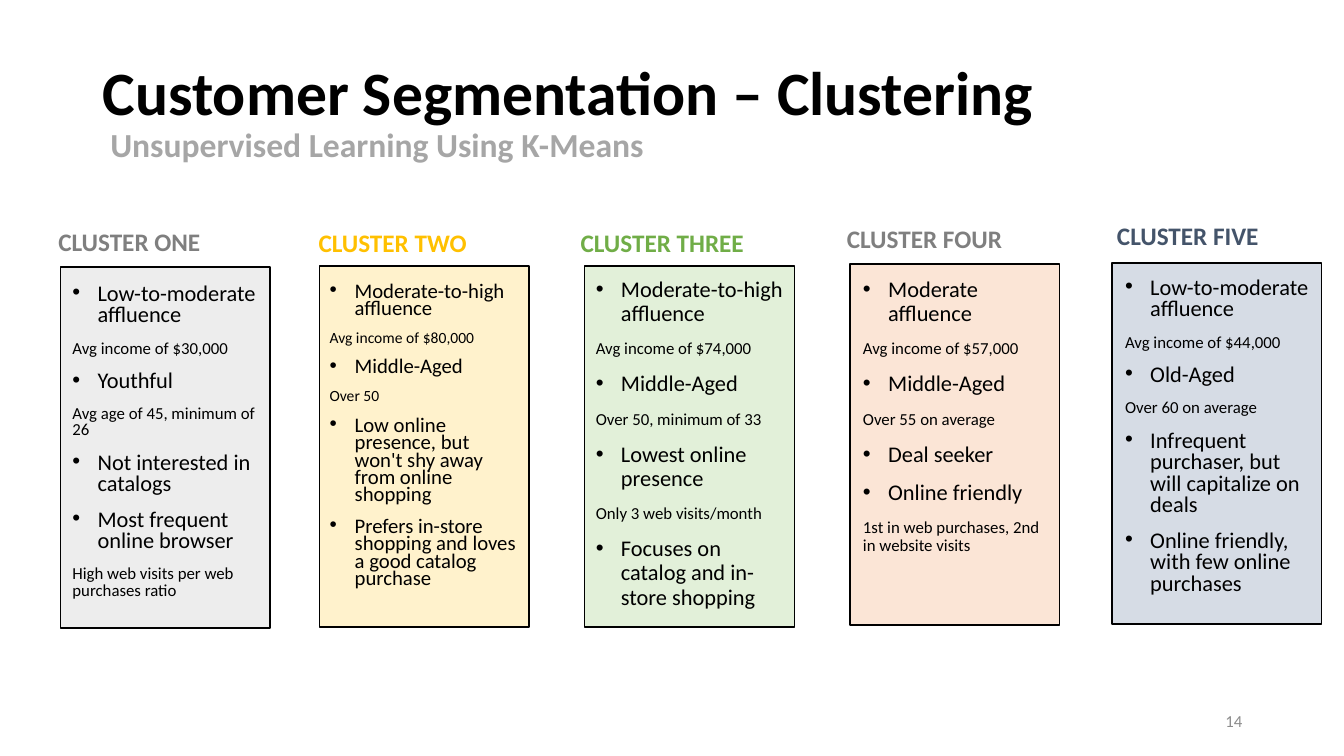
from dataclasses import dataclass

import pptx
import pptx.dml.color
import pptx.enum.shapes
import pptx.enum.text
import pptx.oxml.ns
import pptx.util
from lxml import etree

WIDTH = pptx.util.Inches(13.33)
HEIGHT = pptx.util.Inches(7.5)
FONT = "Calibri"
COLOURS = {
    "black": "000000", "subtitle": "A6A6A6", "number": "8C8C8C",
    "grey": "7F7F7F", "gold": "FFC000", "green": "70AD47", "navy": "44546A",
    "pale grey": "EDEDED", "pale gold": "FFF2CC", "pale green": "E2F0D9",
    "pale orange": "FBE5D6", "pale blue": "D6DCE5",
}
CARD_WIDTH, CARD_HEIGHT = 15.6, 47.73
LIST_WIDTH, LIST_HEIGHT = 15.45, 46
LABEL_WIDTH, LABEL_HEIGHT = 14.25, 5.33
INDENT = pptx.util.Inches(0.25)


@dataclass(frozen=True)
class Area:
    """Left, top, width and height in percent of the slide's size."""
    left: float
    top: float
    width: float
    height: float

    def lengths(self) -> tuple[int, int, int, int]:
        return (round(WIDTH * self.left / 100), round(HEIGHT * self.top / 100),
                round(WIDTH * self.width / 100), round(HEIGHT * self.height / 100))


@dataclass(frozen=True)
class Trait:
    text: str
    bulleted: bool = True


@dataclass(frozen=True)
class Cluster:
    label: str
    label_colour: str
    fill: str
    label_at: tuple[float, float]
    card_at: tuple[float, float]
    list_at: tuple[float, float]
    spacing: float
    traits: tuple[Trait, ...]
    trait_size: float = 16
    note_size: float = 12


def note(text: str) -> Trait:
    return Trait(text, bulleted=False)


CLUSTERS = (
    Cluster("CLUSTER ONE", "grey", "pale grey",
            (3.6, 29.33), (4.5, 35.33), (4.65, 36.93), 0.8,
            (Trait("Low-to-moderate affluence"), note("Avg income of $30,000"),
             Trait("Youthful"), note("Avg age of 45, minimum of 26"),
             Trait("Not interested in catalogs"),
             Trait("Most frequent online browser"),
             note("High web visits per web purchases ratio"))),
    Cluster("CLUSTER TWO", "gold", "pale gold",
            (22.96, 29.47), (23.78, 35.2), (23.78, 36.93), 0.7,
            (Trait("Moderate-to-high affluence"), note("Avg income of $80,000"),
             Trait("Middle-Aged"), note("Over 50"),
             Trait("Low online presence, but won't shy away from online shopping"),
             Trait("Prefers in-store shopping and loves a good catalog purchase")),
            trait_size=14.8, note_size=11.1),
    Cluster("CLUSTER THREE", "green", "pale green",
            (42.46, 29.47), (43.51, 35.2), (43.59, 36.13), 0.9,
            (Trait("Moderate-to-high affluence"), note("Avg income of $74,000"),
             Trait("Middle-Aged"), note("Over 50, minimum of 33"),
             Trait("Lowest online presence"), note("Only 3 web visits/month"),
             Trait("Focuses on catalog and in-store shopping"))),
    Cluster("CLUSTER FOUR", "grey", "pale orange",
            (62.27, 28.93), (63.24, 34.93), (63.47, 36.13), 0.9,
            (Trait("Moderate affluence"), note("Avg income of $57,000"),
             Trait("Middle-Aged"), note("Over 55 on average"),
             Trait("Deal seeker"), Trait("Online friendly"),
             note("1st in web purchases, 2nd in website visits"))),
    Cluster("CLUSTER FIVE", "navy", "pale blue",
            (82.37, 28.53), (82.75, 34.8), (82.97, 36.13), 0.8,
            (Trait("Low-to-moderate affluence"), note("Avg income of $44,000"),
             Trait("Old-Aged"), note("Over 60 on average"),
             Trait("Infrequent purchaser, but will capitalize on deals"),
             Trait("Online friendly, with few online purchases"))),
)


def colour(name: str) -> pptx.dml.color.RGBColor:
    return pptx.dml.color.RGBColor.from_string(COLOURS[name])


def add_text_frame(page, area: Area, middle: bool = False):
    frame = page.shapes.add_textbox(*area.lengths()).text_frame
    frame.word_wrap = True
    if middle:
        frame.vertical_anchor = pptx.enum.text.MSO_ANCHOR.MIDDLE
    return frame


def add_span(para, text: str, size: float, shade: str, bold: bool = False) -> None:
    span = para.add_run()
    span.text = text
    span.font.name = FONT
    span.font.size = pptx.util.Pt(size)
    span.font.bold = bold
    span.font.color.rgb = colour(shade)


def add_bullet(para) -> None:
    properties = para._p.get_or_add_pPr()
    properties.set("marL", str(INDENT))
    properties.set("indent", str(-INDENT))
    for tag, key, value in (("a:buFont", "typeface", "Arial"), ("a:buChar", "char", "•")):
        etree.SubElement(properties, pptx.oxml.ns.qn(tag)).set(key, value)


def add_title(page) -> None:
    para = add_text_frame(page, Area(6.9, 5.33, 86.27, 19.33), middle=True).paragraphs[0]
    para.line_spacing = 0.9
    add_span(para, "Customer Segmentation – Clustering", 44, "black", bold=True)
    para.add_line_break()
    add_span(para, " Unsupervised Learning Using K-Means", 24, "subtitle", bold=True)


def add_card(page, cluster: Cluster) -> None:
    area = Area(*cluster.card_at, CARD_WIDTH, CARD_HEIGHT)
    card = page.shapes.add_shape(pptx.enum.shapes.MSO_SHAPE.RECTANGLE, *area.lengths())
    card.shadow.inherit = False
    card.fill.solid()
    card.fill.fore_color.rgb = colour(cluster.fill)
    card.line.color.rgb = colour("black")
    card.line.width = pptx.util.Pt(1)


def add_label(page, cluster: Cluster) -> None:
    frame = add_text_frame(page, Area(*cluster.label_at, LABEL_WIDTH, LABEL_HEIGHT))
    add_span(frame.paragraphs[0], cluster.label, 18, cluster.label_colour, bold=True)


def add_traits(page, cluster: Cluster) -> None:
    frame = add_text_frame(page, Area(*cluster.list_at, LIST_WIDTH, LIST_HEIGHT))
    for index, trait in enumerate(cluster.traits):
        para = frame.add_paragraph() if index else frame.paragraphs[0]
        if trait.bulleted:
            add_bullet(para)
        para.line_spacing = cluster.spacing
        if index:
            para.space_before = pptx.util.Pt(10)
        size = cluster.trait_size if trait.bulleted else cluster.note_size
        add_span(para, trait.text, size, "black")


def add_page_number(page) -> None:
    para = add_text_frame(page, Area(70.67, 92.67, 22.5, 5.33), middle=True).paragraphs[0]
    para.alignment = pptx.enum.text.PP_ALIGN.RIGHT
    add_span(para, "14", 12, "number")


def main() -> None:
    deck = pptx.Presentation()
    deck.slide_width, deck.slide_height = WIDTH, HEIGHT
    page = deck.slides.add_slide(deck.slide_layouts[6])
    add_title(page)
    for cluster in CLUSTERS:
        add_card(page, cluster)
        add_label(page, cluster)
        add_traits(page, cluster)
    add_page_number(page)
    deck.save("out.pptx")


if __name__ == "__main__":
    main()
